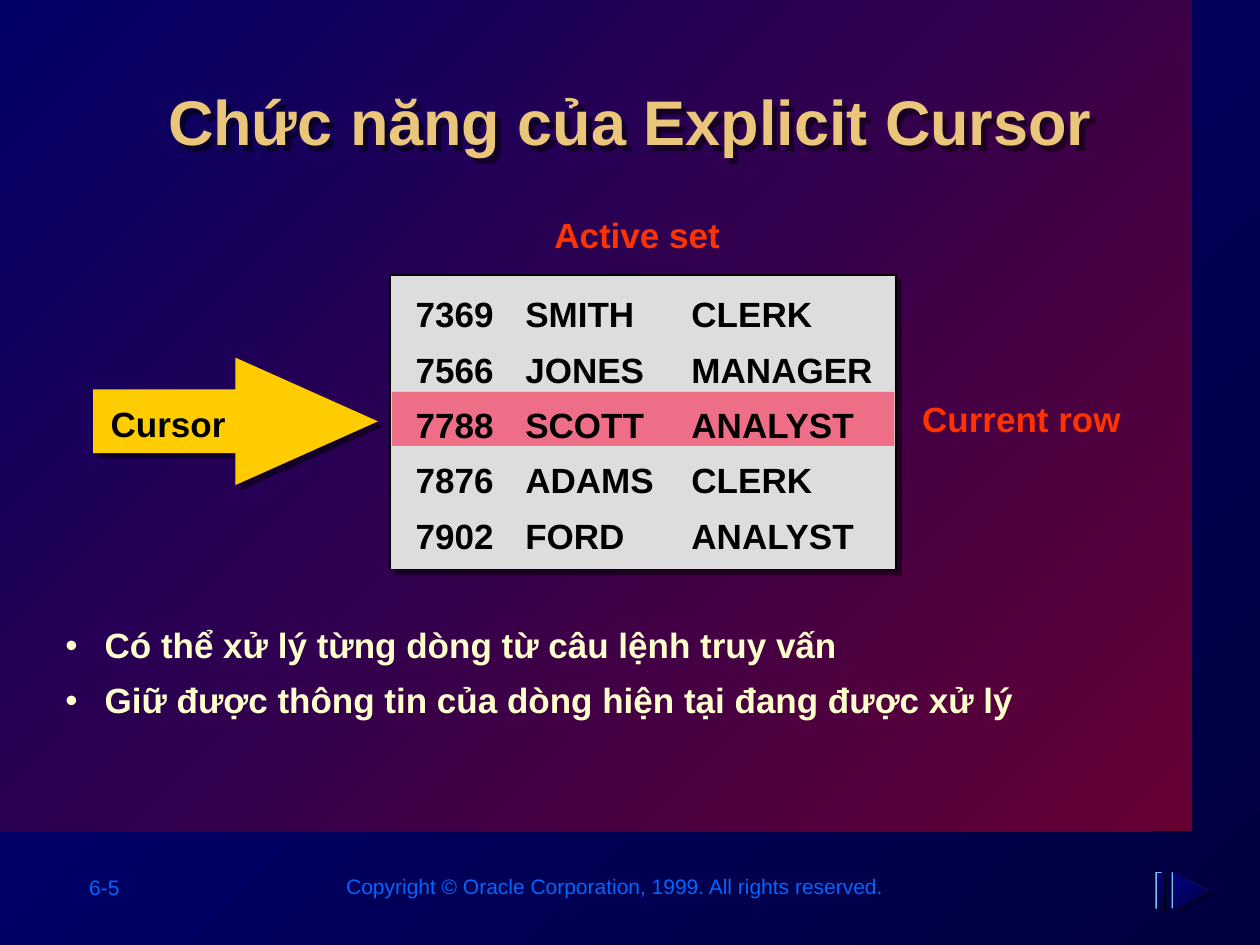
from dataclasses import dataclass

from lxml.etree import SubElement
from pptx import Presentation
from pptx.dml.color import RGBColor as RGB
from pptx.enum.shapes import MSO_SHAPE as SHAPE
from pptx.enum.text import MSO_ANCHOR as ANCHOR, PP_ALIGN as ALIGN
from pptx.oxml.ns import qn
from pptx.util import Cm, Pt


@dataclass(frozen=True)
class Theme:
    font: str = "Arial"
    title_size: int = 36
    body_size: int = 20
    footer_size: int = 12
    title: str = "EAC67B"
    label: str = "FF3300"
    bullet: str = "FFFFCC"
    footer: str = "0066FF"
    ink: str = "000000"
    table: str = "DDDDDD"
    current: str = "FF0033"
    arrow: str = "FFCC00"
    icon_edge: str = "7FC1EB"
    back: tuple = ("00003F", "000080")
    panel: tuple = ("660033", "000066")


T = Theme()
ROWS = [
    ("7369", "SMITH", "CLERK"),
    ("7566", "JONES", "MANAGER"),
    ("7788", "SCOTT", "ANALYST"),
    ("7876", "ADAMS", "CLERK"),
    ("7902", "FORD", "ANALYST"),
]
BULLETS = [
    "Có thể xử lý từng dòng từ câu lệnh truy vấn",
    "Giữ được thông tin của dòng hiện tại đang được xử lý",
]


def paint(fill, color):
    """Fill with one colour, or with a diagonal gradient for a pair."""
    if isinstance(color, tuple):
        fill.gradient()
        fill.gradient_angle = 135
        for stop, c in zip(fill.gradient_stops, color):
            stop.color.rgb = RGB.from_string(c)
    else:
        fill.solid()
        fill.fore_color.rgb = RGB.from_string(color)


def finish(sp, color):
    sp.shadow.inherit = False
    paint(sp.fill, color)
    sp.line.fill.background()
    return sp


def add_block(s, kind, box, color):
    return finish(s.shapes.add_shape(kind, *map(Cm, box)), color)


def add_alpha(color_element, percent):
    SubElement(color_element, qn("a:alpha"), val=str(percent * 1000))


def add_shadow(sp):
    sp.shadow.inherit = False
    effects = sp._element.spPr.find(qn("a:effectLst"))
    shadow = SubElement(effects, qn("a:outerShdw"), blurRad="0",
                        dist=str(Pt(4.2)), dir="2700000", algn="ctr", rotWithShape="0")
    add_alpha(SubElement(shadow, qn("a:srgbClr"), val=T.ink), 50)


def format_runs(p, size, color, bold):
    for r in p.runs:
        r.font.name, r.font.size, r.font.bold = T.font, Pt(size), bold
        r.font.color.rgb = RGB.from_string(color)


def add_text(s, box, lines, color, size=T.body_size, bold=True, align=ALIGN.LEFT):
    tf = s.shapes.add_textbox(*map(Cm, box)).text_frame
    tf.word_wrap = True
    tf.text = "\n".join(lines)
    for i, p in enumerate(tf.paragraphs):
        p.alignment = align
        p.line_spacing = 0.95
        p.space_before = Pt(8.8 if i else 0)
        format_runs(p, size, color, bold)
    return tf


def set_tabs(p, stops):
    tabs = SubElement(p._p.get_or_add_pPr(), qn("a:tabLst"))
    for stop in stops:
        SubElement(tabs, qn("a:tab"), pos=str(Cm(stop)), algn="l")


def set_bullet(p, indent):
    pPr = p._p.get_or_add_pPr()
    pPr.set("marL", str(Cm(indent)))
    pPr.set("indent", str(-Cm(indent)))
    SubElement(SubElement(pPr, qn("a:buClr")), qn("a:srgbClr"), val=T.bullet)
    SubElement(pPr, qn("a:buFont"), typeface=T.font)
    SubElement(pPr, qn("a:buChar"), char="•")


def add_title(s, text):
    title = s.shapes.title
    title.left, title.top, title.width, title.height = map(Cm, (2.57, 1.42, 20.27, 2.44))
    tf = title.text_frame
    tf.text = text
    tf.vertical_anchor = ANCHOR.TOP
    tf.margin_top = Cm(0.25)
    p = tf.paragraphs[0]
    p.alignment = ALIGN.CENTER
    format_runs(p, T.title_size, T.title, True)
    add_shadow(title)


def add_active_set(s):
    frame = add_block(s, SHAPE.RECTANGLE, (7.87, 5.54, 10.19, 5.94), T.table)
    frame.line.color.rgb = RGB.from_string(T.ink)
    frame.line.width = Pt(1)
    add_shadow(frame)
    current = add_block(s, SHAPE.RECTANGLE, (7.9, 7.9, 10.13, 1.09), T.current)
    add_alpha(current._element.spPr.find(qn("a:solidFill"))[0], 50)
    tf = add_text(s, (8.13, 5.84, 13.23, 5.51), ["\t".join(row) for row in ROWS], T.ink)
    for p in tf.paragraphs:
        set_tabs(p, (2.21, 5.56))
    add_text(s, (10.24, 4.24, 5.21, 1.07), ["Active set"], T.label, align=ALIGN.CENTER)
    add_text(s, (18.34, 7.95, 5.21, 1.07), ["Current row"], T.label)


def add_cursor_arrow(s):
    arrow = add_block(s, SHAPE.RIGHT_ARROW, (1.88, 7.21, 5.74, 2.57), T.arrow)
    arrow.adjustments[1] = 1.118
    add_shadow(arrow)
    add_text(s, (1.98, 8.05, 3.02, 1.07), ["Cursor"], T.ink)


def add_bullets(s):
    tf = add_text(s, (1.07, 12.5, 22.43, 3.28), BULLETS, T.bullet)
    for p in tf.paragraphs:
        set_bullet(p, 0.79)


def add_footer(s):
    for box, text in (((1.55, 17.55, 2.82, 0.76), "6-5"),
                      ((6.73, 17.53, 11.7, 0.76),
                       "Copyright © Oracle Corporation, 1999. All rights reserved.")):
        add_text(s, box, [text], T.footer, T.footer_size, bold=False)


def add_next_icon(s):
    """Embossed bar and triangle: shade, highlight, then face."""
    size = 0.74
    for dx, dy, color in ((0.07, 0.05, T.ink), (0, 0, T.icon_edge), (0.04, 0.03, T.back)):
        x, y = 23.29 + dx, 17.58 + dy
        add_block(s, SHAPE.RECTANGLE, (x, y, 0.13, size), color)
        x += 0.33
        outline = s.shapes.build_freeform(Cm(x + size), Cm(y + size / 2))
        outline.add_line_segments([(Cm(x), Cm(y)), (Cm(x), Cm(y + size))], close=True)
        finish(outline.convert_to_shape(), color)


def main():
    prs = Presentation()
    prs.slide_width, prs.slide_height = Cm(25.4), Cm(19.05)
    s = prs.slides.add_slide(prs.slide_layouts[5])

    # Backdrop, with the panel behind the title
    paint(s.background.fill, T.back)
    panel = add_block(s, SHAPE.RECTANGLE, (0, 0, 24.03, 16.76), T.panel)
    s.shapes._spTree.insert(2, panel._element)

    # Content
    add_title(s, "Chức năng của Explicit Cursor")
    add_active_set(s)
    add_cursor_arrow(s)
    add_bullets(s)

    # Bottom strip
    add_footer(s)
    add_next_icon(s)
    prs.save("out.pptx")


if __name__ == "__main__":
    main()
